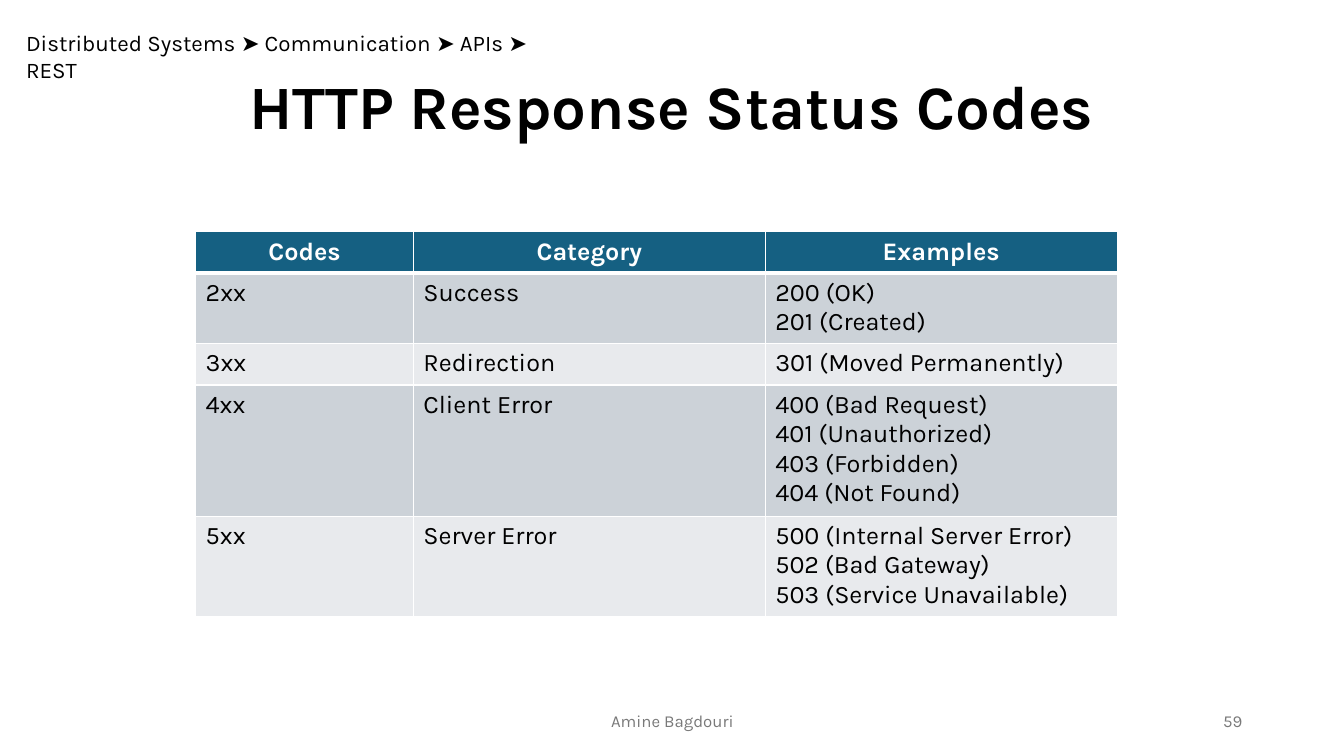
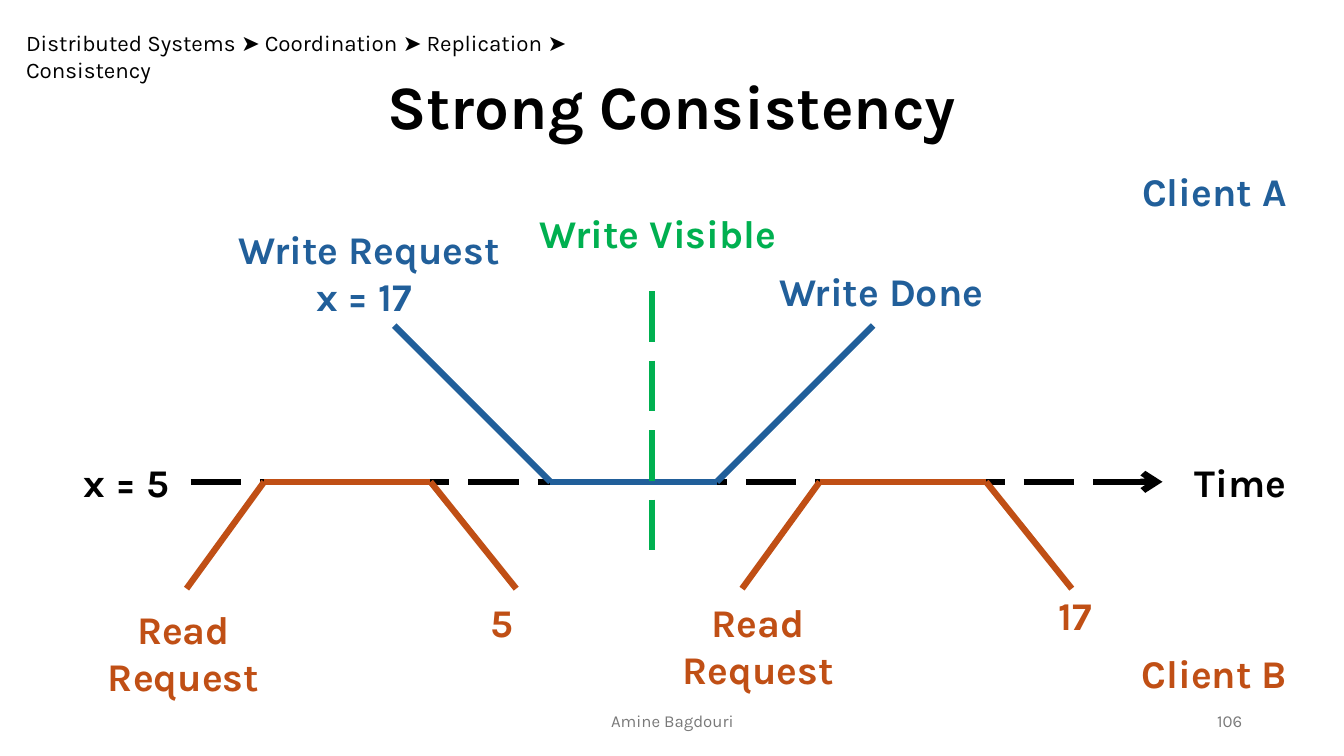
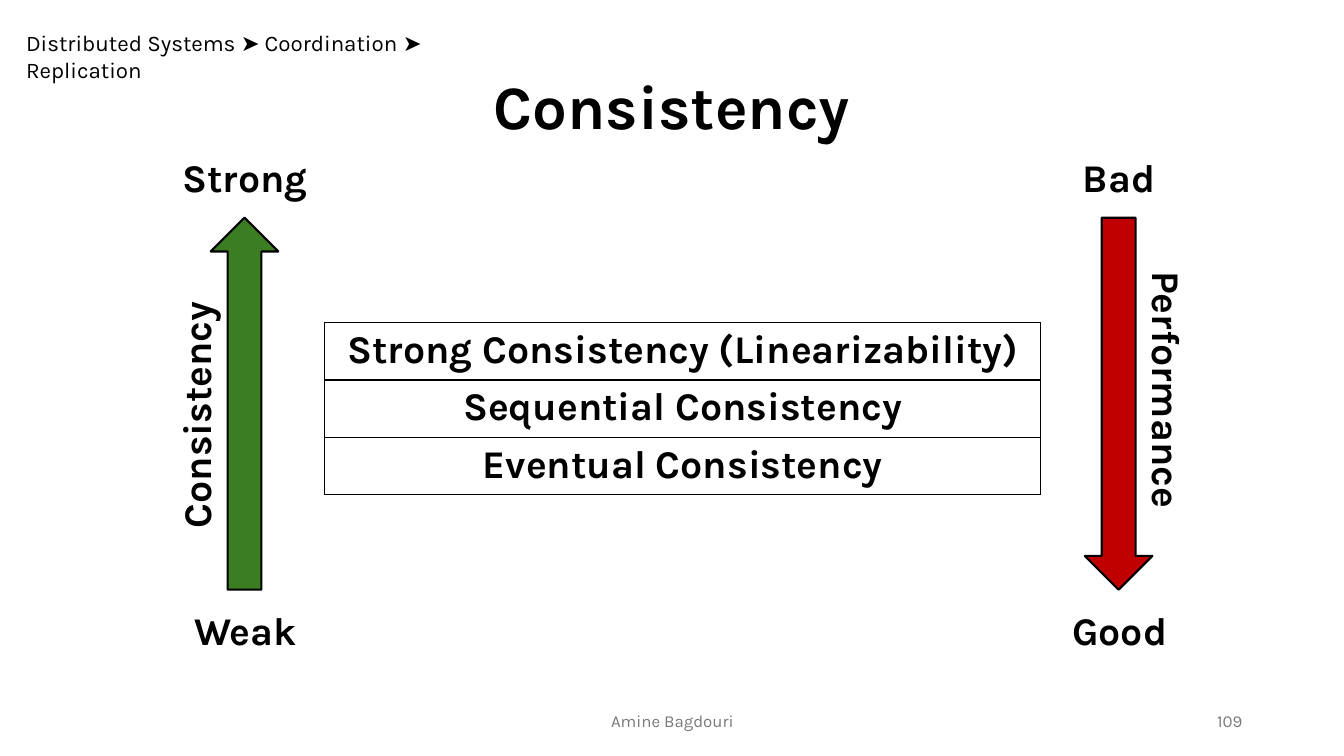
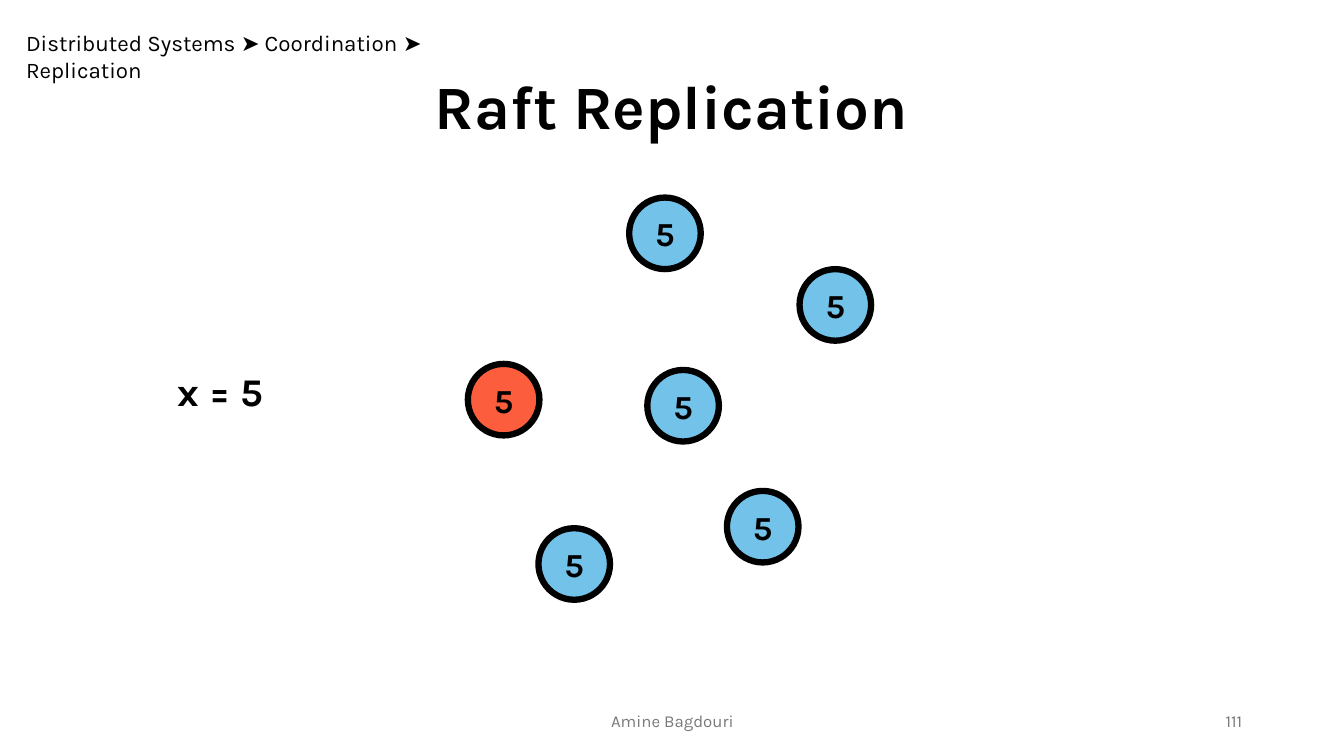
import pptx
import pptx.util
import pptx.dml.color
import pptx.enum.dml
import pptx.enum.shapes
import pptx.enum.text
import pptx.oxml.ns
from lxml import etree

Inches, Pt = pptx.util.Inches, pptx.util.Pt
RGBColor = pptx.dml.color.RGBColor
Shape = pptx.enum.shapes.MSO_SHAPE
Align = pptx.enum.text.PP_ALIGN
Anchor = pptx.enum.text.MSO_ANCHOR
qn = pptx.oxml.ns.qn

BLACK = RGBColor(0x00, 0x00, 0x00)
WHITE = RGBColor(0xFF, 0xFF, 0xFF)
GREY = RGBColor(0x79, 0x79, 0x79)
TEAL = RGBColor(0x15, 0x60, 0x82)
BANDS = (RGBColor(0xCC, 0xD2, 0xD8), RGBColor(0xE8, 0xEA, 0xED))
BLUE = RGBColor(0x21, 0x5F, 0x9A)
ORANGE = RGBColor(0xC0, 0x4F, 0x15)
GREEN = RGBColor(0x00, 0xB0, 0x50)
ARROW_GREEN = RGBColor(0x3B, 0x7D, 0x23)
ARROW_RED = RGBColor(0xC0, 0x00, 0x00)
SKY = RGBColor(0x72, 0xC2, 0xE9)
CORAL = RGBColor(0xFC, 0x5D, 0x3D)

WIDTH, HEIGHT = 13.33, 7.5
FONT = "Karla"
AUTHOR = "Amine Bagdouri"
TITLE = dict(size=Pt(44), bold=True)
LABEL = dict(size=Pt(28), bold=True)
CRUMB = dict(size=Pt(16))
FOOTER = dict(size=Pt(12), color=GREY)
THICK = 4.5

STATUS_HEADER = ("Codes", "Category", "Examples")
STATUS_COLUMNS = (2.16, 3.49, 3.49)
STATUS_CODES = [
    ("2xx", "Success", "200 (OK)\n201 (Created)"),
    ("3xx", "Redirection", "301 (Moved Permanently)"),
    ("4xx", "Client Error",
     "400 (Bad Request)\n401 (Unauthorized)\n403 (Forbidden)\n404 (Not Found)"),
    ("5xx", "Server Error",
     "500 (Internal Server Error)\n502 (Bad Gateway)\n503 (Service Unavailable)"),
]
ROW, EXTRA_LINE = 0.41, 0.29

AXIS = 4.78
# outer left, inner left, inner right, outer right, outer level, colour
WRITE = (3.91, 5.46, 7.11, 8.66, 3.23, BLUE)
READS = [(start, start + 0.77, start + 2.42, start + 3.27, 5.84, ORANGE)
         for start in (1.85, 7.36)]
# text, left, top, width, height, colour
TIMELINE_LABELS = [
    ("Time", 11.53, 4.5, 1.55, 0.57, BLACK),
    ("x = 5", 0.69, 4.5, 1.13, 0.57, BLACK),
    ("Write Request\nx = 17 ", 1.85, 2.19, 3.62, 1.04, BLUE),
    ("Write Done", 6.93, 2.6, 3.62, 0.57, BLUE),
    ("Write Visible", 5.12, 2.03, 2.81, 0.57, GREEN),
    ("Read Request", 0.87, 5.96, 1.9, 1.04, ORANGE),
    ("5", 4.42, 5.89, 1.11, 0.57, ORANGE),
    ("Read Request", 6.57, 5.89, 1.9, 1.04, ORANGE),
    ("17", 10.11, 5.82, 1.11, 0.57, ORANGE),
    ("Client A", 11.06, 1.61, 1.97, 0.57, BLUE),
    ("Client B", 11.06, 6.39, 1.97, 0.57, ORANGE),
]

LEVELS = ("Strong Consistency (Linearizability)", "Sequential Consistency",
          "Eventual Consistency")
# left, fill, rotation
SCALE_ARROWS = [(2.09, ARROW_GREEN, 0), (10.76, ARROW_RED, 180)]
# text, left, top, width, rotation
SCALE_LABELS = [
    ("Strong", 1.41, 1.47, 2.04, 0),
    ("Weak", 1.66, 5.97, 1.55, 0),
    ("Consistency", 0.2, 3.83, 3.48, 270),
    ("Bad", 10.52, 1.47, 1.16, 0),
    ("Good", 10.33, 5.97, 1.55, 0),
    ("Performance", 10.24, 3.58, 2.68, 90),
]

NODE_SIZE = 0.71
NODES = [(7.93, 2.67, SKY), (6.42, 3.67, SKY), (5.34, 5.24, SKY),
         (6.24, 1.96, SKY), (4.64, 3.61, CORAL), (7.21, 4.87, SKY)]


def write(frame, text, align=Align.CENTER, color=BLACK, **style):
    frame.text = text
    for para in frame.paragraphs:
        para.alignment = align
        para.font.color.rgb = color
        for name, value in dict(name=FONT, **style).items():
            setattr(para.font, name, value)


def add_text(page, text, left, top, width, height, anchor=Anchor.TOP, rotation=0, **style):
    box = page.shapes.add_textbox(*map(Inches, (left, top, width, height)))
    box.rotation = rotation
    box.text_frame.word_wrap = True
    box.text_frame.vertical_anchor = anchor
    write(box.text_frame, text, **style)


def add_page(deck, title, trail, trail_width, number):
    page = deck.slides.add_slide(deck.slide_layouts[6])
    add_text(page, title, 0, 0.62, WIDTH, 0.84, **TITLE)
    add_text(page, " ➤ ".join(("Distributed Systems",) + trail),
             0.16, 0.24, trail_width, 0.37, align=Align.LEFT, **CRUMB)
    add_text(page, AUTHOR, 4.42, 6.95, 4.5, 0.4, Anchor.MIDDLE, **FOOTER)
    add_text(page, str(number), 9.42, 6.95, 3, 0.4, Anchor.MIDDLE, align=Align.RIGHT, **FOOTER)
    return page


def add_shape(page, kind, left, top, width, height, fill, line_width):
    shape = page.shapes.add_shape(kind, *map(Inches, (left, top, width, height)))
    shape.shadow.inherit = False
    shape.fill.solid()
    shape.fill.fore_color.rgb = fill
    shape.line.color.rgb = BLACK
    shape.line.width = Pt(line_width)
    return shape


def add_line(page, start, end, color, dashed=False, arrow=False):
    line = page.shapes.add_connector(pptx.enum.shapes.MSO_CONNECTOR.STRAIGHT,
                                     *map(Inches, start + end))
    line.line.color.rgb = color
    line.line.width = Pt(THICK)
    if dashed:
        line.line.dash_style = pptx.enum.dml.MSO_LINE.LONG_DASH
    properties = line._element.spPr
    if arrow:
        etree.SubElement(properties.find(qn("a:ln")), qn("a:tailEnd"), type="arrow")
    etree.SubElement(properties, qn("a:effectLst"))


def add_request(page, outer_left, inner_left, inner_right, outer_right, level, color):
    """Draw a request that meets the time axis, runs along it and leaves it."""
    points = [(outer_left, level), (inner_left, AXIS), (inner_right, AXIS), (outer_right, level)]
    for start, end in zip(points, points[1:]):
        add_line(page, start, end, color)


def add_table(page, left, top, columns, heights):
    frame = page.shapes.add_table(len(heights), len(columns), *map(
        Inches, (left, top, sum(columns), sum(heights))))
    table = frame.table
    table.first_row = table.horz_banding = False
    for column, width in zip(table.columns, columns):
        column.width = Inches(width)
    for row, height in zip(table.rows, heights):
        row.height = Inches(height)
    return table


def set_borders(cell, color, top=1, bottom=1):
    properties = cell._tc.get_or_add_tcPr()
    for index, (side, width) in enumerate(dict(L=1, R=1, T=top, B=bottom).items()):
        border = etree.Element(qn("a:ln" + side), w=str(Pt(width)))
        fill = etree.SubElement(border, qn("a:solidFill"))
        etree.SubElement(fill, qn("a:srgbClr"), val=str(color))
        properties.insert(index, border)


def build_status_codes(deck):
    page = add_page(deck, "HTTP Response Status Codes",
                    ("Communication", "APIs", "REST"), 5.6, 59)
    rows = [STATUS_HEADER] + STATUS_CODES
    heights = [ROW + EXTRA_LINE * row[-1].count("\n") for row in rows]
    table = add_table(page, 1.94, 2.3, STATUS_COLUMNS, heights)
    for r, row in enumerate(rows):
        header = r == 0
        for c, text in enumerate(row):
            cell = table.cell(r, c)
            write(cell.text_frame, text, Align.CENTER if header else Align.LEFT,
                  WHITE if header else BLACK, size=Pt(18), bold=header)
            cell.fill.solid()
            cell.fill.fore_color.rgb = TEAL if header else BANDS[(r - 1) % 2]
            set_borders(cell, WHITE, top=3 if r == 1 else 1, bottom=3 if header else 1)


def build_strong_consistency(deck):
    page = add_page(deck, "Strong Consistency",
                    ("Coordination", "Replication", "Consistency"), 6.68, 106)
    add_line(page, (1.89, AXIS), (11.53, AXIS), BLACK, dashed=True, arrow=True)
    add_request(page, *WRITE)
    add_line(page, (6.47, 2.89), (6.47, 5.56), GREEN, dashed=True)
    for read in READS:
        add_request(page, *read)
    for *label, color in TIMELINE_LABELS:
        add_text(page, *label, color=color, **LABEL)


def build_consistency(deck):
    page = add_page(deck, "Consistency", ("Coordination", "Replication"), 5.16, 109)
    table = add_table(page, 3.22, 3.2, [7.1], [0.57] * len(LEVELS))
    for r, text in enumerate(LEVELS):
        cell = table.cell(r, 0)
        write(cell.text_frame, text, **LABEL)
        cell.fill.background()
        set_borders(cell, BLACK)
    for left, fill, rotation in SCALE_ARROWS:
        arrow = add_shape(page, Shape.UP_ARROW, left, 2.16, 0.67, 3.69, fill, 1.5)
        arrow.rotation = rotation
    for text, left, top, width, rotation in SCALE_LABELS:
        add_text(page, text, left, top, width, 0.57, rotation=rotation, **LABEL)


def build_raft(deck):
    page = add_page(deck, "Raft Replication", ("Coordination", "Replication"), 5.16, 111)
    for left, top, fill in NODES:
        node = add_shape(page, Shape.OVAL, left, top, NODE_SIZE, NODE_SIZE, fill, THICK)
        node.text_frame.vertical_anchor = Anchor.MIDDLE
        write(node.text_frame, "5", size=Pt(24), bold=True)
    add_text(page, "x = 5", 1.62, 3.59, 1.13, 0.57, **LABEL)


def main():
    deck = pptx.Presentation()
    deck.slide_width, deck.slide_height = Inches(WIDTH), Inches(HEIGHT)
    for build in (build_status_codes, build_strong_consistency, build_consistency, build_raft):
        build(deck)
    deck.save("out.pptx")


if __name__ == "__main__":
    main()
